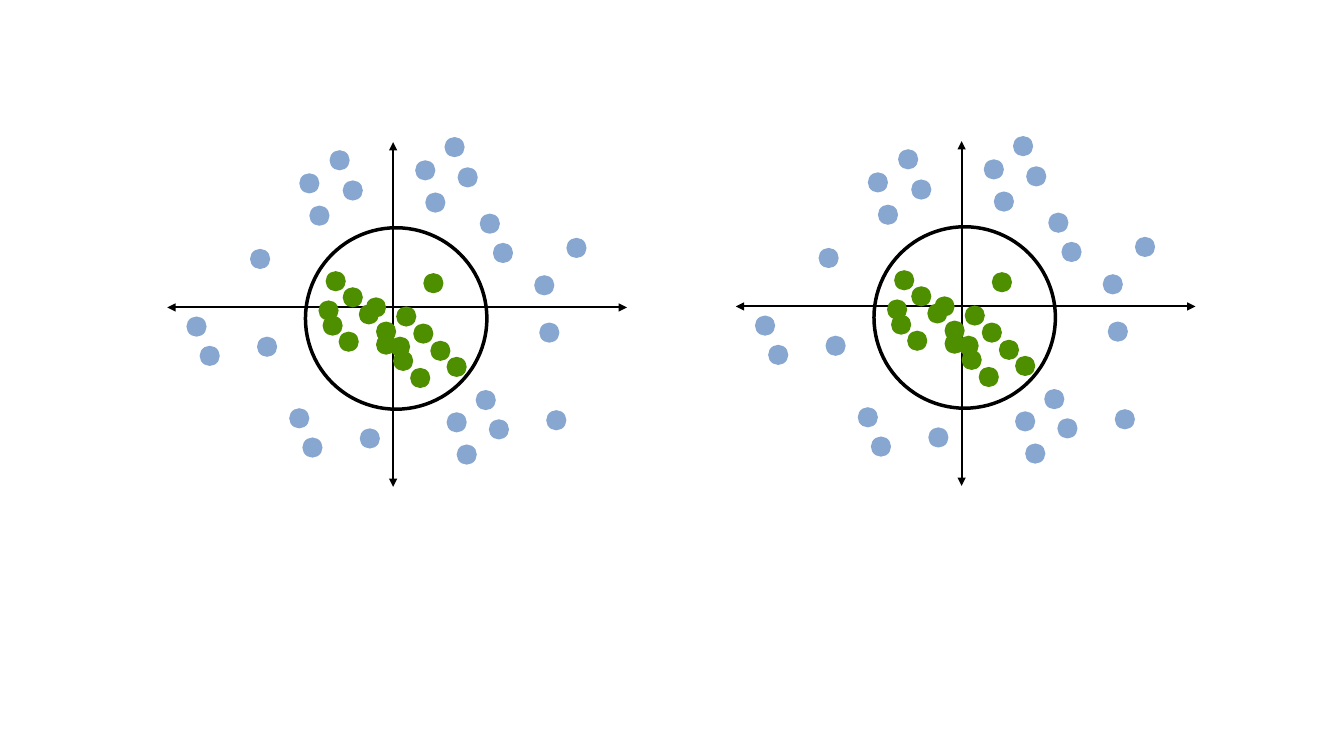
from lxml import etree
from pptx import Presentation
from pptx.dml.color import RGBColor
from pptx.enum import shapes
from pptx.oxml import ns
from pptx.util import Pt

BLACK = RGBColor(0x00, 0x00, 0x00)
GREEN = RGBColor(0x4E, 0x8F, 0x00)
BLUE = RGBColor(0x87, 0xA7, 0xD0)

DOT_SIZE = 14.4
BOUNDARY_SIZE = 129.6
BOUNDARY_CENTER = (2.2, 7.9)
X_AXIS = ((-161.3, 0), (167, 0))
Y_AXIS = ((0, 128.2), (0, -118.1))
PLOT_ORIGINS = [(686.9, 218.9), (280.8, 219.6)]

# Dot centres, in points from the crossing of the axes
INSIDE = [
    (-12.2, 0), (-5, 26.6), (9.4, 6.5), (28.8, -17.3), (7.2, 38.2),
    (21.6, 18.7), (5, 28.1), (19.4, 50.4), (33.8, 31), (45.4, 42.5),
    (-41, -18.7), (-43.2, 13), (-28.8, -7.2), (-46.1, 2.2),
    (-31.7, 24.5), (-17.3, 5), (-5, 17.3),
]
OUTSIDE = [
    (45.4, 82.1), (75.6, 87.1), (52.6, 105.1), (66.2, 66.2),
    (116.6, 80.6), (131, -42.5), (78.5, -38.9), (108, -15.8),
    (69.1, -59.8), (111.6, 18), (-131, 34.6), (-140.4, 13.7),
    (-90, 28.1), (-95, -34.6), (-57.6, 100.1), (-67, 79.2),
    (-16.6, 93.6), (-59.8, -88.6), (-28.8, -83.5), (-52.6, -65.5),
    (-38.2, -105.1), (23, -97.9), (53.3, -92.9), (30.2, -74.9),
    (43.9, -114.5),
]


def shift(origin, offset):
    return origin[0] + offset[0], origin[1] + offset[1]


def add_axis(slide, start, end):
    """Draw a line with an arrowhead at both ends."""
    axis = slide.shapes.add_connector(
        shapes.MSO_CONNECTOR.STRAIGHT, *map(Pt, start + end))
    axis.line.color.rgb = BLACK
    axis.line.width = Pt(1.5)
    line = axis.line._get_or_add_ln()
    for tag in ("a:headEnd", "a:tailEnd"):
        etree.SubElement(line, ns.qn(tag), type="triangle")
    etree.SubElement(axis._element.spPr, ns.qn("a:effectLst"))


def add_circle(slide, center, size):
    left, top = shift(center, (-size / 2, -size / 2))
    circle = slide.shapes.add_shape(
        shapes.MSO_SHAPE.OVAL, Pt(left), Pt(top), Pt(size), Pt(size))
    circle.shadow.inherit = False
    return circle


def add_dots(slide, origin, offsets, color):
    for offset in offsets:
        dot = add_circle(slide, shift(origin, offset), DOT_SIZE)
        dot.fill.solid()
        dot.fill.fore_color.rgb = color
        dot.line.fill.background()


def add_boundary(slide, origin):
    """Draw the open circle around the inside dots."""
    boundary = add_circle(slide, shift(origin, BOUNDARY_CENTER), BOUNDARY_SIZE)
    boundary.fill.background()
    boundary.line.color.rgb = BLACK
    boundary.line.width = Pt(2.5)


def add_plot(slide, origin):
    for start, end in (Y_AXIS, X_AXIS):
        add_axis(slide, shift(origin, start), shift(origin, end))
    add_dots(slide, origin, INSIDE, GREEN)
    add_dots(slide, origin, OUTSIDE, BLUE)
    add_boundary(slide, origin)


def main():
    deck = Presentation()
    deck.slide_width, deck.slide_height = Pt(960), Pt(540)
    slide = deck.slides.add_slide(deck.slide_layouts[6])
    for origin in PLOT_ORIGINS:
        add_plot(slide, origin)
    deck.save("out.pptx")


if __name__ == "__main__":
    main()
